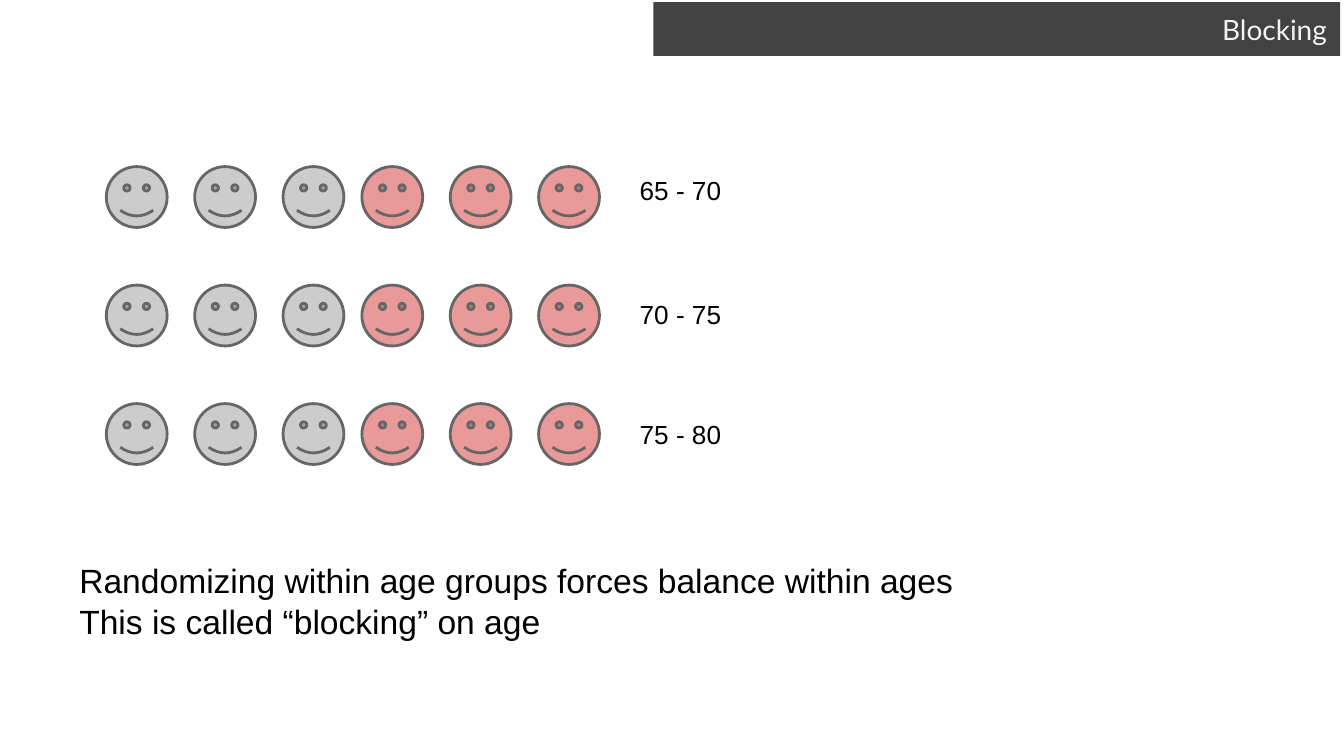
from lxml import etree
from pptx import Presentation
from pptx.dml.color import RGBColor
from pptx.enum.shapes import MSO_SHAPE
from pptx.enum.text import MSO_ANCHOR, PP_ALIGN
from pptx.oxml.ns import qn
from pptx.util import Cm, Pt

RECT = MSO_SHAPE.RECTANGLE
SMILEY = MSO_SHAPE.SMILEY_FACE
TOP = MSO_ANCHOR.TOP
MIDDLE = MSO_ANCHOR.MIDDLE
LEFT = PP_ALIGN.LEFT
RIGHT = PP_ALIGN.RIGHT

GRAY = "CCCCCC"
PINK = "EA9999"
EDGE = "666666"
BLACK = "000000"
PALE = "F3F3F3"


def color(code):
    return RGBColor.from_string(code)


def write(shape, lines, size, font="Arial", ink=BLACK, align=LEFT, anchor=TOP):
    frame = shape.text_frame
    frame.word_wrap = True
    frame.vertical_anchor = anchor
    frame.margin_left = frame.margin_right = Cm(0.25)
    frame.margin_top = frame.margin_bottom = Cm(0.25)
    for i, line in enumerate(lines):
        para = frame.add_paragraph() if i else frame.paragraphs[0]
        para.alignment = align
        run = para.add_run()
        run.text = line
        run.font.size = Pt(size)
        run.font.name = font
        run.font.color.rgb = color(ink)


def add_text(slide, box, lines, size):
    shape = slide.shapes.add_textbox(*map(Cm, box))
    write(shape, lines, size)


def add_title(slide, box, text):
    bar = slide.shapes.add_shape(RECT, *map(Cm, box))
    bar.shadow.inherit = False
    bar.fill.solid()
    bar.fill.fore_color.rgb = color(BLACK)
    fill = bar.fill._xPr.find(qn("a:solidFill"))
    etree.SubElement(fill[0], qn("a:alpha"), val="74000")
    bar.line.fill.background()
    write(bar, [text], 15, "Lato", PALE, RIGHT, MIDDLE)


def add_trio(slide, box, fill):
    left, top, width, size = box
    step = (width - size) / 2
    for i in range(3):
        face = slide.shapes.add_shape(
            SMILEY, Cm(left + i * step), Cm(top), Cm(size), Cm(size))
        face.adjustments[0] = 0.047
        face.shadow.inherit = False
        face.fill.solid()
        face.fill.fore_color.rgb = color(fill)
        face.line.color.rgb = color(EDGE)
        face.line.width = Pt(1.5)


def add_groups(slide, box, groups):
    left, top, width, height = box
    size = 1.15
    step = (height - size) / (len(groups) - 1)
    for i, (label, shift) in enumerate(groups):
        y = top + i * step
        add_trio(slide, (left, y, 4.49, size), GRAY)
        add_trio(slide, (left + 4.83, y, 4.49, size), PINK)
        add_text(slide, (left + 9.83, y + shift, width - 9.83, 2.03), [label], 14)


def main():
    deck = Presentation()
    deck.slide_width = Cm(25.4)
    deck.slide_height = Cm(14.29)
    slide = deck.slides.add_slide(deck.slide_layouts[6])
    add_title(slide, (12.35, 0.04, 12.98, 1.02), "Blocking")
    add_groups(slide, (2.01, 3.15, 18.16, 5.63),
               [("65 - 70", -0.1), ("70 - 75", 0), ("75 - 80", 0.03)])
    add_text(slide, (1.25, 10.34, 17.5, 2.03),
             ["Randomizing within age groups forces balance within ages",
              "This is called “blocking” on age"], 18)
    deck.save("out.pptx")


if __name__ == "__main__":
    main()
